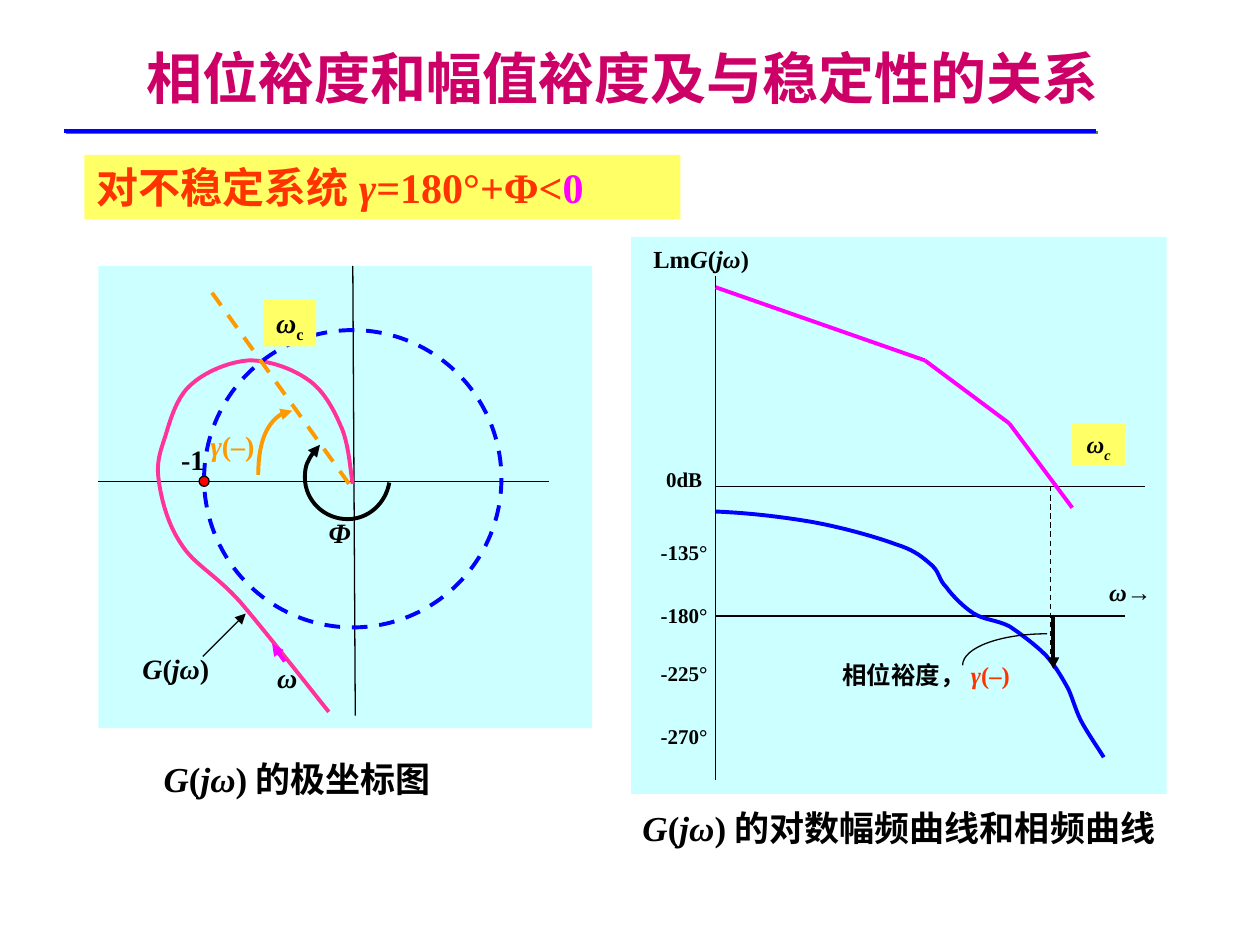
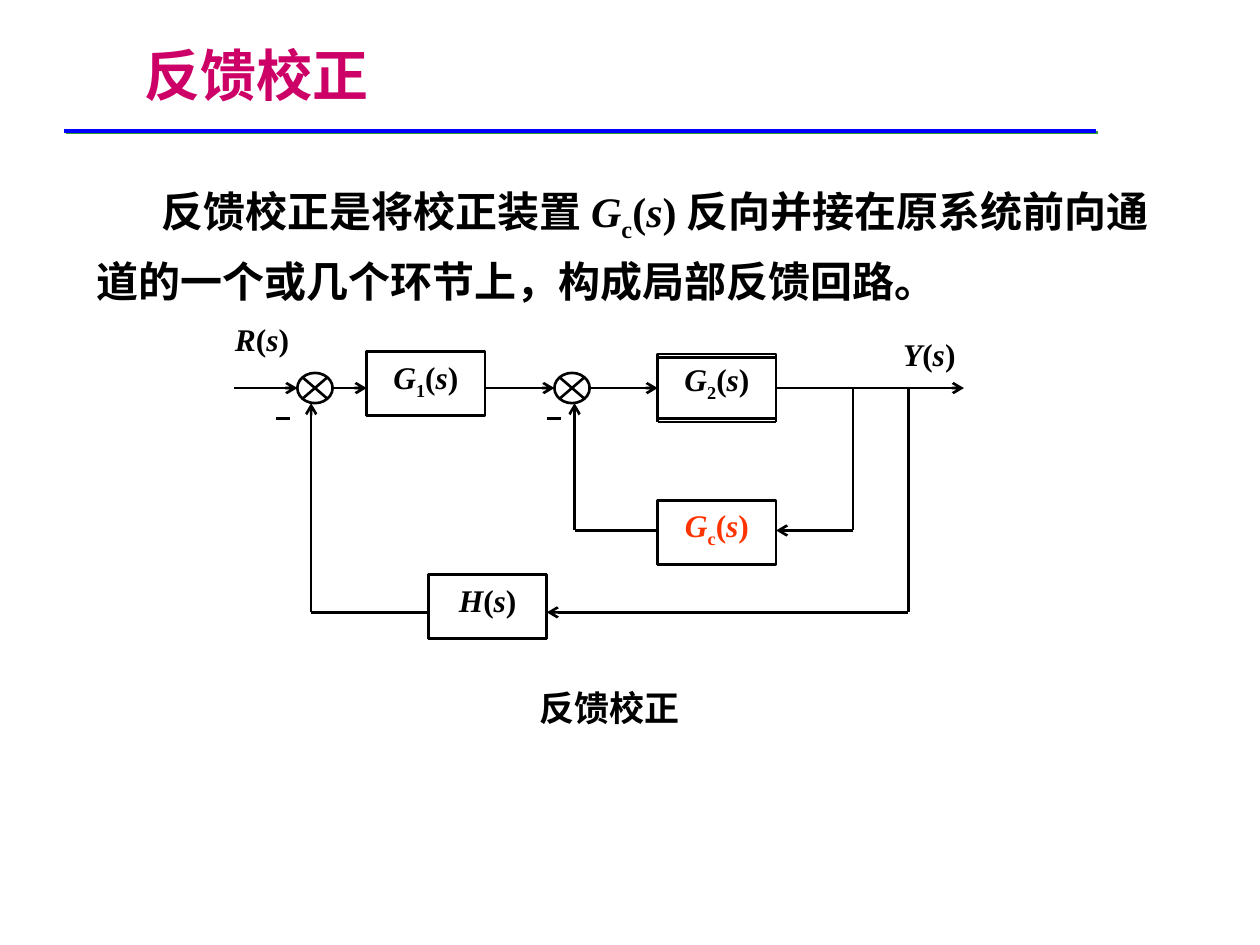
from lxml import etree
from pptx import Presentation
from pptx.dml.color import RGBColor
from pptx.enum.dml import MSO_LINE
from pptx.enum.shapes import MSO_CONNECTOR, MSO_SHAPE
from pptx.enum.text import MSO_ANCHOR, PP_ALIGN
from pptx.oxml.ns import qn
from pptx.util import Inches, Pt

LATIN, CJK = "Times New Roman", "Noto Sans CJK SC"
BLACK, WHITE, BLUE, MAGENTA, ORANGE = "000000", "FFFFFF", "0000FF", "FF00FF", "FF9900"
RED, PINK, CYAN, YELLOW, CRIMSON, GREEN = "FF3300", "FF3399", "CCFFFF", "FFFF66", "CC0066", "339933"

MARGIN_TITLE = ("相位裕度和幅值裕度及与稳定性的关系", (1.06, 0.18, 7.95, 0.87))
FEEDBACK_TITLE = ("反馈校正", (1.05, 0.15, 7.5, 0.87))

PANELS = [(0.78, 2.11, 3.92, 3.67), (5.01, 1.88, 4.25, 4.42)]
THIN, THICK = {"width": 0.75}, {"width": 2.25}
ARROW, START_ARROW = {"tail": "triangle"}, {"head": "triangle"}
AXES = [
    [(0.78, 3.82), (4.36, 3.82)],
    [(2.82, 5.68), (2.8, 2.11)],
    [(5.68, 3.86), (9.09, 3.86)],
    [(5.68, 2.19), (5.68, 6.19)],
    [(5.68, 4.89), (8.93, 4.89)],
]
GAIN_CORNERS = [(5.68, 2.28), (7.34, 2.86), (8.01, 3.36), (8.51, 4.03)]
NYQUIST = [
    (2.61, 5.65), (2.49, 5.5), (2.09, 4.99), (1.9, 4.77), (1.7, 4.55), (1.54, 4.48), (1.44, 4.32),
    (1.33, 4.16), (1.28, 3.96), (1.26, 3.81), (1.24, 3.67), (1.27, 3.59), (1.31, 3.47),
    (1.35, 3.34), (1.4, 3.15), (1.52, 3.05), (1.63, 2.95), (1.82, 2.87), (1.98, 2.86),
    (2.13, 2.86), (2.31, 2.92), (2.44, 3.01), (2.56, 3.09), (2.64, 3.23), (2.7, 3.37),
    (2.77, 3.51), (2.78, 3.74), (2.8, 3.84),
]
PHASE = [
    (5.68, 4.06), (5.93, 4.07), (6.19, 4.1), (6.43, 4.14), (6.66, 4.18), (6.95, 4.26), (7.11, 4.32),
    (7.27, 4.37), (7.33, 4.43), (7.4, 4.49), (7.46, 4.55), (7.45, 4.6), (7.51, 4.66),
    (7.56, 4.73), (7.65, 4.82), (7.73, 4.87), (7.81, 4.92), (7.91, 4.92), (8.01, 4.97),
    (8.1, 5.03), (8.22, 5.12), (8.3, 5.2), (8.38, 5.29), (8.43, 5.38), (8.48, 5.47),
    (8.52, 5.56), (8.54, 5.65), (8.59, 5.74), (8.64, 5.83), (8.73, 5.96), (8.76, 6.01),
]
PHI_ARC = [
    (2.54, 3.53), (2.47, 3.6), (2.42, 3.69), (2.42, 3.79), (2.42, 3.97), (2.57, 4.12), (2.76, 4.12),
    (2.92, 4.12), (3.06, 4), (3.09, 3.83),
]
GAMMA_ARC = [(2.32, 3.26), (2.17, 3.26), (2.05, 3.49), (2.05, 3.77)]
GAMMA_LEADER = [(8.31, 5.03), (7.94, 5.03), (7.64, 5.14), (7.64, 5.28)]
STROKES = [
    *[(axis, BLACK, THIN) for axis in AXES],
    (NYQUIST, PINK, THICK),
    ([(2.26, 5.25), (2.16, 5.11)], MAGENTA, THICK | ARROW),
    ([(1.61, 5.21), (1.95, 4.87)], BLACK, THIN | ARROW),
    (PHI_ARC, BLACK, THICK | START_ARROW),
    *[(pair, MAGENTA, THICK) for pair in zip(GAIN_CORNERS, GAIN_CORNERS[1:])],
    (PHASE, BLUE, THICK),
    ([(8.34, 3.86), (8.34, 5.29)], BLACK, THIN | {"dash": True}),
    ([(8.36, 4.89), (8.36, 5.31)], BLACK, THICK | ARROW),
    (GAMMA_LEADER, BLACK, THIN),
    ([(2.77, 3.84), (1.68, 2.32)], ORANGE, THICK | {"dash": True}),
    (GAMMA_ARC, ORANGE, THICK | START_ARROW),
]
UNIT_CIRCLE = (1.62, 2.62, 2.36, 2.36)
CRITICAL_POINT = (1.58, 3.78, 0.08, 0.08)

LEFT = {"align": PP_ALIGN.LEFT}
LEVELS = [("0dB", 3.65), ("-135°", 4.23), ("-180°", 4.73), ("-225°", 5.19), ("-270°", 5.69)]
MARGIN_LABELS = [
    ((5, 6.35, 4.48, 0.43), [("*G*(*jω*)的对数幅频曲线和相频曲线", BLACK)], 20, LEFT | {"fill": WHITE}),
    ((1.2, 5.96, 2.83, 0.43), [("*G*(*jω*)的极坐标图", BLACK)], 20, LEFT),
    ((0.67, 1.23, 4.73, 0.51), [("对不稳定系统*γ*=180°+Φ<", RED), ("0", MAGENTA)], 24,
     LEFT | {"fill": YELLOW}),
    ((2.03, 5.19, 0.5, 0.37), [("*ω*", BLACK)], 16, {}),
    ((1.28, 3.46, 0.5, 0.37), [("-1", BLACK)], 16, {}),
    ((1.1, 5.12, 0.59, 0.37), [("*G*(*jω*)", BLACK)], 16, {}),
    ((2.51, 4.04, 0.42, 0.37), [("*Φ*", BLACK)], 16, LEFT),
    ((1.57, 3.35, 0.55, 0.37), [("*γ*(–)", ORANGE)], 16, {}),
    ((2.09, 2.38, 0.42, 0.37), [("*ω*~c~", BLACK)], 16, {"fill": YELLOW}),
    ((8.51, 3.36, 0.42, 0.33), [("*ω~c~*", BLACK)], 14, {"fill": YELLOW}),
    ((8.68, 4.53, 0.58, 0.33), [("*ω*→", BLACK)], 14, {}),
    ((5.16, 1.89, 0.81, 0.33), [("Lm*G*(*jω*)", BLACK)], 14, {}),
    ((6.56, 5.19, 1.58, 0.33), [("相位裕度，", BLACK), ("*γ*(–)", RED)], 14, {}),
    *[((5.18, top, 0.5, 0.3), [(level, BLACK)], 12, {}) for level, top in LEVELS],
]

FEEDBACK_LABELS = [
    ((3.5, 5.4, 2.68, 0.44), [("反馈校正", BLACK)], 20, {}),
    ((0.67, 1.31, 8.75, 1),
     [("反馈校正是将校正装置*G*~c~(*s*)反向并接在原系统前向通道的一个或几个环节上，构成局部反馈回路。", BLACK)],
     24, LEFT | {"spacing": 1.25, "indent": 0.51}),
    ((1.76, 2.49, 0.64, 0.4), [("*R*(*s*)", BLACK)], 18, {}),
    ((7.07, 2.61, 0.61, 0.4), [("*Y*(*s*)", BLACK)], 18, {}),
]
BLOCK_W, BLOCK_H = 0.94, 0.51
BLOCKS = [
    ("*G*~1~(*s*)", BLACK, 2.91, 2.79, 2.79),
    ("*G*~2~(*s*)", BLACK, 5.22, 2.81, 2.84),
    ("*G*~c~(*s*)", RED, 5.22, 3.97, 3.97),
    ("*H*(*s*)", BLACK, 3.4, 4.56, 4.56),
]
JUNCTION_LEFTS = [2.36, 4.4]
MAIN_Y, INNER_Y, OUTER_Y, MINUS_Y = 3.08, 4.21, 4.86, 3.32
FORWARD_ARROWS = [(1.86, 2.36), (2.63, 2.91), (3.85, 4.4), (4.67, 5.22), (6.16, 7.65)]
LOOPS = [(6.77, 6.16, 5.22, 4.56, INNER_Y), (7.21, 4.34, 3.4, 2.47, OUTER_Y)]
MINUS_LEFTS = [4.34, 2.19]


def rgb(colour):
    return RGBColor.from_string(colour)


def inches(values):
    return [Inches(value) for value in values]


def stroke(shape, colour, width, dash=False, **ends):
    shape.line.color.rgb = rgb(colour)
    shape.line.width = Pt(width)
    if dash:
        shape.line.dash_style = MSO_LINE.DASH
    outline = shape.line._get_or_add_ln()
    for end in ("head", "tail"):
        if end in ends:
            etree.SubElement(outline, qn(f"a:{end}End"), type=ends[end])


def add_line(slide, start, finish, colour, **style):
    line = slide.shapes.add_connector(MSO_CONNECTOR.STRAIGHT, *inches((*start, *finish)))
    stroke(line, colour, **style)
    effects = etree.SubElement(line._element.spPr, qn("a:effectLst"))
    return effects


def add_curve(slide, points, colour, **style):
    start, *rest = [tuple(inches(point)) for point in points]
    builder = slide.shapes.build_freeform(*start)
    builder.add_line_segments(rest, close=False)
    curve = builder.convert_to_shape()
    curve.shadow.inherit = False
    curve.fill.background()
    segments = list(curve._element.iter(qn("a:lnTo")))
    for first in range(0, len(segments), 3):
        bezier = etree.Element(qn("a:cubicBezTo"))
        segments[first].addprevious(bezier)
        for segment in segments[first:first + 3]:
            bezier.append(segment[0])
            segment.getparent().remove(segment)
    stroke(curve, colour, **style)


def add_shape(slide, kind, box, fill=None, outline=None):
    shape = slide.shapes.add_shape(kind, *inches(box))
    shape.shadow.inherit = False
    if fill:
        shape.fill.solid()
        shape.fill.fore_color.rgb = rgb(fill)
    else:
        shape.fill.background()
    if outline:
        stroke(shape, **outline)
    else:
        shape.line.fill.background()
    return shape


def write(frame, parts, size, align=PP_ALIGN.CENTER, anchor=MSO_ANCHOR.TOP,
          spacing=None, indent=0, latin=LATIN):
    side = Inches(0.1 if align == PP_ALIGN.LEFT else 0)
    layout = {"word_wrap": True, "vertical_anchor": anchor, "margin_left": side, "margin_right": side,
              "margin_top": Inches(0.05), "margin_bottom": Inches(0.05)}
    for key, value in layout.items():
        setattr(frame, key, value)
    paragraph = frame.paragraphs[0]
    paragraph.alignment = align
    if spacing:
        paragraph.line_spacing = spacing
    if indent:
        paragraph._p.get_or_add_pPr().set("indent", str(Inches(indent)))
    for markup, colour in parts:
        for i, piece in enumerate(markup.split("*")):
            for j, words in enumerate(piece.split("~")):
                if words:
                    add_run(paragraph, words, colour, j % 2,
                            {"name": latin, "size": Pt(size), "bold": True, "italic": bool(i % 2)})


def add_run(paragraph, words, colour, subscript, look):
    run = paragraph.add_run()
    run.text = words
    for key, value in look.items():
        setattr(run.font, key, value)
    run.font.color.rgb = rgb(colour)
    properties = run._r.get_or_add_rPr()
    etree.SubElement(properties, qn("a:ea"), typeface=CJK)
    if subscript:
        properties.set("baseline", "-25000")


def add_label(slide, box, parts, size, style):
    style = dict(style)
    fill = style.pop("fill", None)
    if fill:
        label = add_shape(slide, MSO_SHAPE.RECTANGLE, box, fill)
    else:
        label = slide.shapes.add_textbox(*inches(box))
    write(label.text_frame, parts, size, **style)


def start_slide(deck, heading, box):
    slide = deck.slides.add_slide(deck.slide_layouts[5])
    effects = add_line(slide, (0.51, 1.04), (8.7, 1.04), BLUE, width=2)
    shadow = etree.SubElement(effects, qn("a:outerShdw"), dist=str(Pt(1.4)), dir="2700000")
    etree.SubElement(shadow, qn("a:srgbClr"), val=GREEN)
    title = slide.shapes.title
    for key, value in zip(("left", "top", "width", "height"), inches(box)):
        setattr(title, key, value)
    write(title.text_frame, [(heading, CRIMSON)], 32, PP_ALIGN.LEFT, MSO_ANCHOR.MIDDLE, latin=CJK)
    return slide


def build_margins(deck):
    slide = start_slide(deck, *MARGIN_TITLE)
    for panel in PANELS:
        add_shape(slide, MSO_SHAPE.RECTANGLE, panel, CYAN)
    for points, colour, style in STROKES:
        if len(points) == 2:
            add_line(slide, *points, colour, **style)
        else:
            add_curve(slide, points, colour, **style)
    add_shape(slide, MSO_SHAPE.OVAL, UNIT_CIRCLE, outline={"colour": BLUE, "dash": True} | THICK)
    add_shape(slide, MSO_SHAPE.OVAL, CRITICAL_POINT, "FF0000", {"colour": BLACK} | THIN)
    for label in MARGIN_LABELS:
        add_label(slide, *label)


def build_feedback(deck):
    slide = start_slide(deck, *FEEDBACK_TITLE)
    wire = {"colour": BLACK, "width": 1.5}
    arrow = wire | {"tail": "arrow"}
    for label in FEEDBACK_LABELS:
        add_label(slide, *label)
    for name, colour, left, top, frame_top in BLOCKS:
        block = add_shape(slide, MSO_SHAPE.RECTANGLE, (left, top, BLOCK_W, BLOCK_H), outline=wire)
        write(block.text_frame, [(name, colour)], 18)
        right, bottom = left + BLOCK_W, frame_top + BLOCK_H
        for y in (frame_top, bottom):
            add_line(slide, (left, y), (right, y), **wire)
        for x in (left, right):
            add_line(slide, (x, frame_top), (x, bottom), **wire)
    for left in JUNCTION_LEFTS:
        add_shape(slide, MSO_SHAPE.FLOWCHART_SUMMING_JUNCTION, (left, 2.96, 0.28, 0.24), outline=wire)
    for start, finish in FORWARD_ARROWS:
        add_line(slide, (start, MAIN_Y), (finish, MAIN_Y), **arrow)
    for pickoff, block_right, block_left, junction, y in LOOPS:
        add_line(slide, (pickoff, MAIN_Y), (pickoff, y), **wire)
        add_line(slide, (pickoff, y), (block_right, y), **arrow)
        add_line(slide, (block_left, y), (junction, y), **wire)
        add_line(slide, (junction, y), (junction, 3.2), **arrow)
    for left in MINUS_LEFTS:
        add_line(slide, (left, MINUS_Y), (left + 0.11, MINUS_Y), **wire)


def main():
    deck = Presentation()
    deck.slide_width, deck.slide_height = inches((10, 7.5))
    build_margins(deck)
    build_feedback(deck)
    deck.save("out.pptx")


if __name__ == "__main__":
    main()
